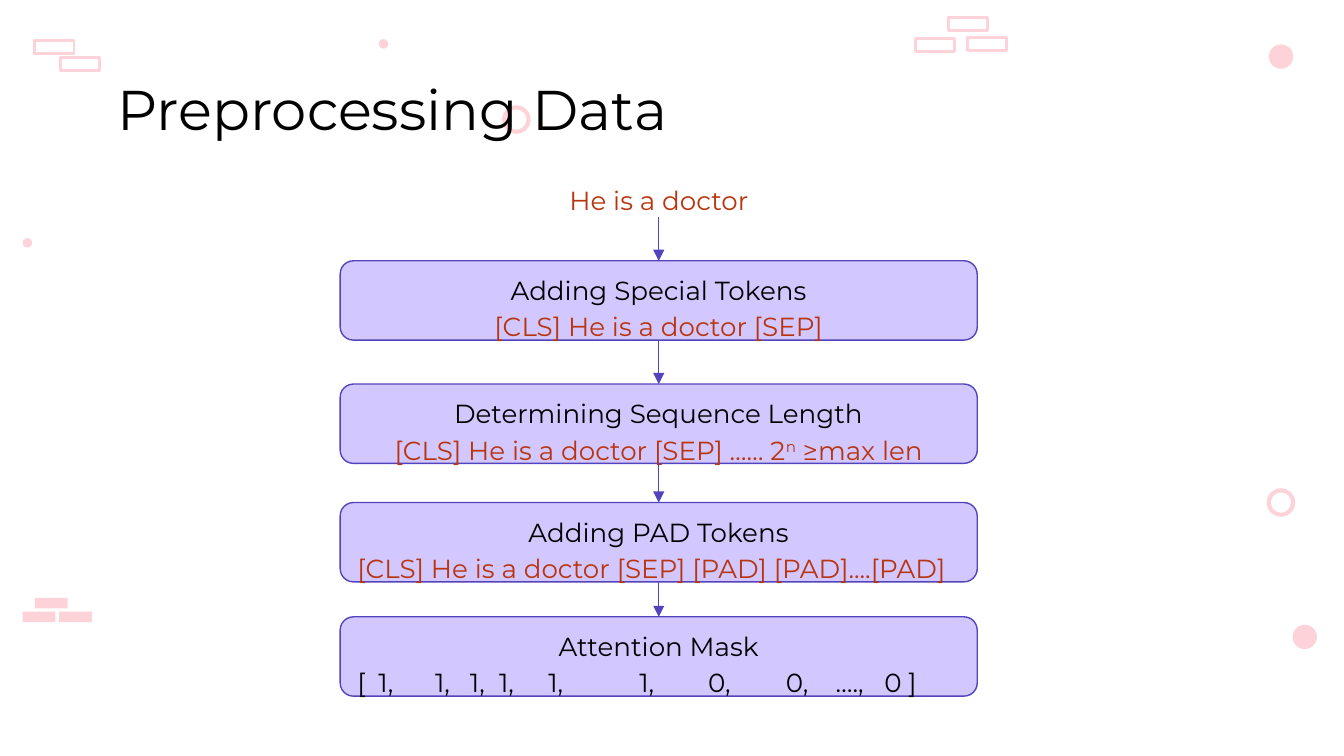
from lxml.etree import SubElement
from pptx import Presentation
from pptx.dml.color import RGBColor
from pptx.enum.shapes import MSO_CONNECTOR, MSO_SHAPE as Preset
from pptx.enum.text import MSO_ANCHOR as Anchor, PP_ALIGN as Align
from pptx.oxml.ns import qn
from pptx.util import Cm, Pt

FONT = "Montserrat"
BLACK, RUST, INDIGO, LILAC, PINK = "000000", "B8350E", "5344BB", "A48EFD", "FDD3D9"

TITLE = "Preprocessing Data"
SENTENCE = "He is a doctor"
MASK_TABS = [0.4, 1.47, 2.13, 2.68, 3.61, 5.33, 6.63, 8.1, 9.04, 9.96]
MASK = ["[", "1,", "1,", "1,", "1,", "1,", "1,", "0,", "0,", "….,", "0 ]"]
STEPS = [
    (4.93, "Adding Special Tokens", ["[CLS] He is a doctor [SEP]"], RUST, Align.CENTER, []),
    (7.26, "Determining Sequence Length",
     ["[CLS] He is a doctor [SEP] …… 2", "n", " ≥max len"], RUST, Align.CENTER, []),
    (9.5, "Adding PAD Tokens",
     ["[CLS] He is a doctor [SEP] [PAD] [PAD]....[PAD]"], RUST, Align.LEFT, []),
    (11.66, "Attention Mask", ["\t".join(MASK)], BLACK, Align.LEFT, MASK_TABS),
]
STEP_LEFT, STEP_WIDTH, STEP_HEIGHT = 6.43, 12.04, 1.5
SENTENCE_BOTTOM = 4.11

DECORATIONS = [
    (Preset.RECTANGLE, 0.62, 0.2, None, [(0.66, 11.3), (0.43, 11.56), (1.12, 11.56)]),
    (Preset.RECTANGLE, 0.74, 0.25, 1.5,
     [(18.29, 0.71), (17.3, 0.73), (17.93, 0.33), (1.14, 1.09), (0.66, 0.76)]),
    (Preset.OVAL, 0.46, 0.46, 2.25, [(9.53, 2.03), (23.98, 9.27)]),
    (Preset.OVAL, 0.46, 0.46, None, [(23.98, 0.84), (24.43, 11.81)]),
    (Preset.OVAL, 0.18, 0.18, None, [(7.16, 0.74), (0.43, 4.5)]),
]


def rgb(code):
    return RGBColor.from_string(code)


def add_preset(preset, left, top, width, height, fill, line, weight):
    shape = slide.shapes.add_shape(preset, Cm(left), Cm(top), Cm(width), Cm(height))
    shape.shadow.inherit = False
    if fill:
        shape.fill.solid()
        shape.fill.fore_color.rgb = rgb(fill)
    else:
        shape.fill.background()
    if weight:
        shape.line.color.rgb = rgb(line)
        shape.line.width = Pt(weight)
    else:
        shape.line.fill.background()
    return shape


def write(paragraph, pieces, size, color, align, tabs=()):
    for piece in pieces:
        run = paragraph.add_run()
        run.text = piece
        if piece == "n":
            run._r.get_or_add_rPr().set("baseline", "30000")
    paragraph.alignment = align
    if tabs:
        stops = SubElement(paragraph._p.get_or_add_pPr(), qn("a:tabLst"))
        for position in tabs:
            SubElement(stops, qn("a:tab"), pos=str(Cm(position)), algn="l")
    paragraph.font.name = FONT
    paragraph.font.size = Pt(size)
    paragraph.font.color.rgb = rgb(color)


def set_frame(frame, anchor, top_inset):
    frame.word_wrap = True
    frame.vertical_anchor = anchor
    frame.margin_left = frame.margin_right = Cm(0.25)
    frame.margin_top, frame.margin_bottom = Cm(top_inset), 0


def add_label(left, top, width, height, text, size, color, align):
    frame = slide.shapes.add_textbox(Cm(left), Cm(top), Cm(width), Cm(height)).text_frame
    set_frame(frame, Anchor.MIDDLE, 0)
    write(frame.paragraphs[0], [text], size, color, align)


def add_step(top, heading, tokens, color, align, tabs):
    step = add_preset(Preset.ROUNDED_RECTANGLE, STEP_LEFT, top, STEP_WIDTH, STEP_HEIGHT,
                      LILAC, INDIGO, 0.75)
    fill_color = step.fill._xPr.find(qn("a:solidFill"))[0]
    SubElement(fill_color, qn("a:alpha"), val="49000")
    frame = step.text_frame
    set_frame(frame, Anchor.TOP, 0.1)
    write(frame.paragraphs[0], [heading], 14, BLACK, Align.CENTER)
    write(frame.add_paragraph(), tokens, 14, color, align, tabs)
    for paragraph in frame.paragraphs:
        paragraph.line_spacing = 1.15


def add_arrow(start, end):
    x = Cm(STEP_LEFT + STEP_WIDTH / 2)
    arrow = slide.shapes.add_connector(MSO_CONNECTOR.STRAIGHT, x, Cm(start), x, Cm(end))
    arrow.line.color.rgb = rgb(INDIGO)
    arrow.line.width = Pt(0.75)
    SubElement(arrow.line._get_or_add_ln(), qn("a:tailEnd"), type="triangle")
    SubElement(arrow._element.spPr, qn("a:effectLst"))


deck = Presentation()
deck.slide_width, deck.slide_height = Cm(25.4), Cm(14.29)
slide = deck.slides.add_slide(deck.slide_layouts[6])

for preset, width, height, weight, places in DECORATIONS:
    for left, top in places:
        add_preset(preset, left, top, width, height, None if weight else PINK, PINK, weight)

add_label(1.98, 1.4, 21.41, 1.3, TITLE, 30, BLACK, Align.LEFT)
add_label(9.19, 3.4, 6.53, 0.75, SENTENCE, 14, RUST, Align.CENTER)

previous_bottom = SENTENCE_BOTTOM
for step in STEPS:
    add_step(*step)
    add_arrow(previous_bottom, step[0])
    previous_bottom = step[0] + STEP_HEIGHT

deck.save("out.pptx")
